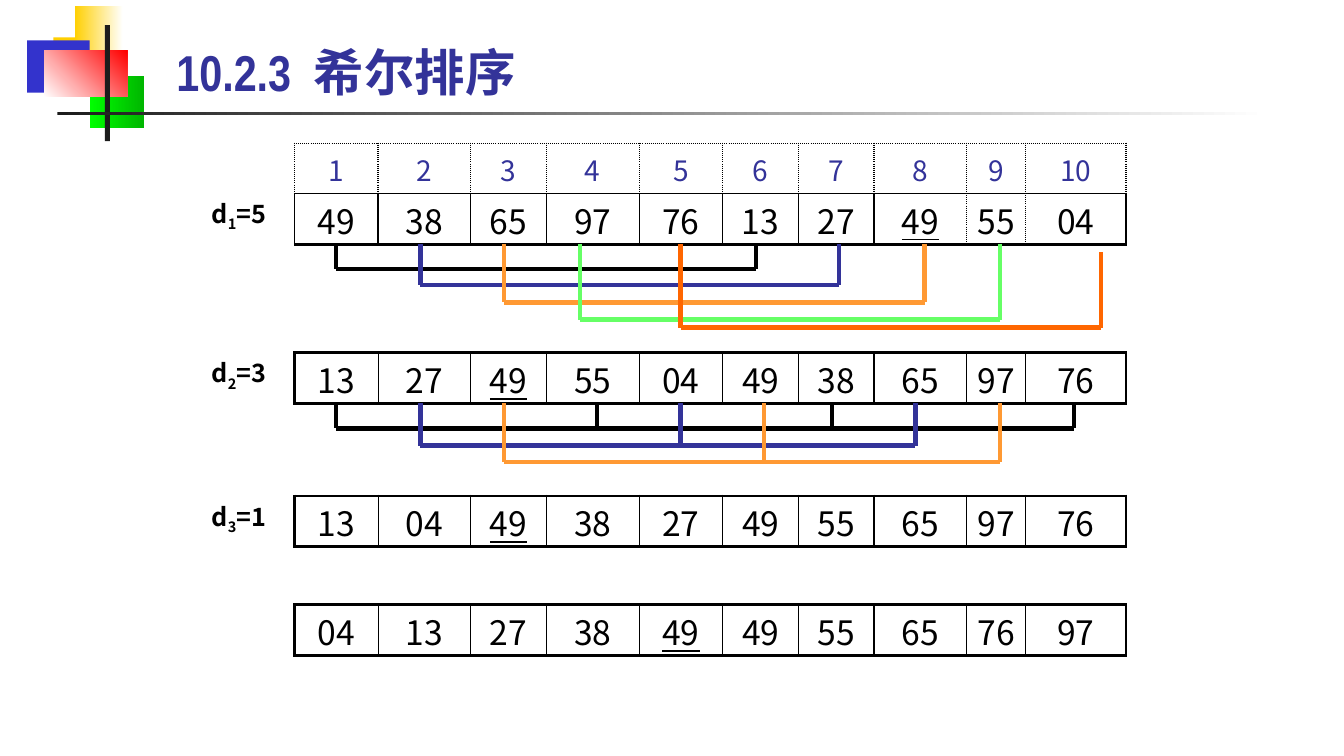
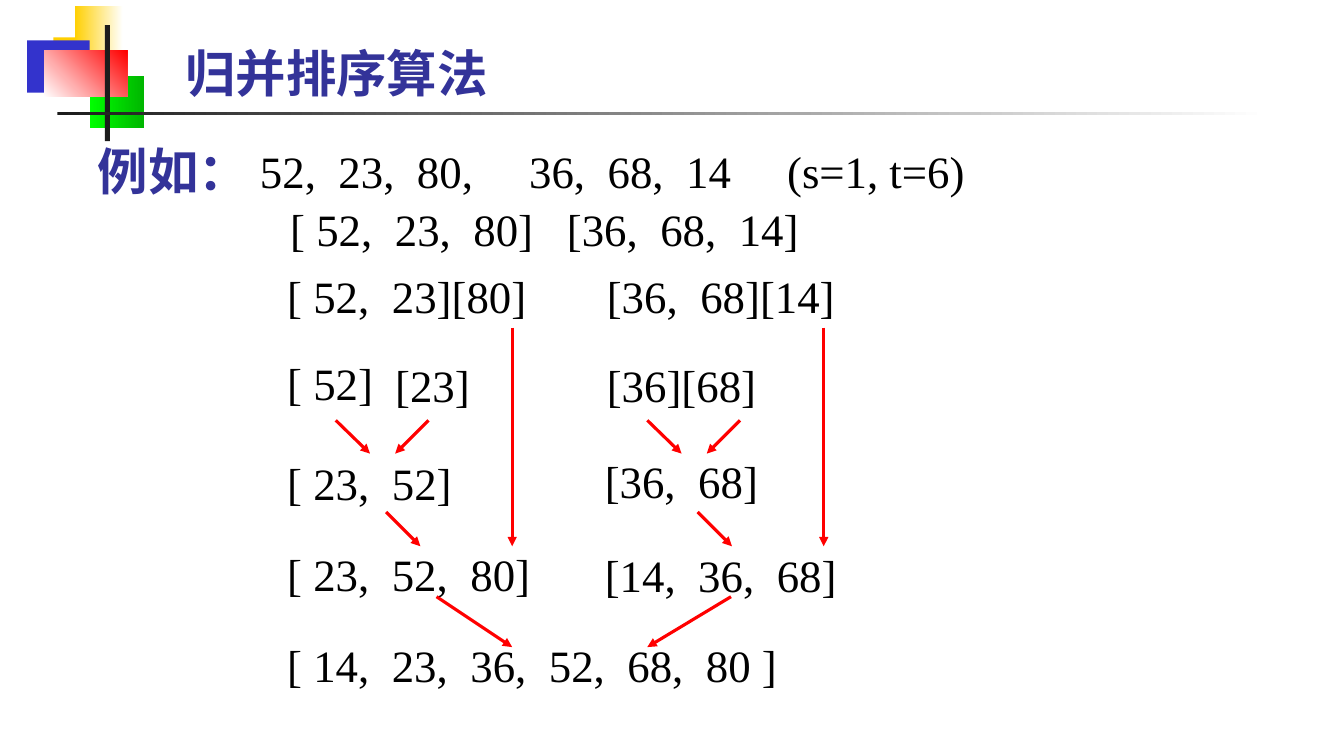
"""Build two slides on Shell sort and merge sort."""
from dataclasses import dataclass

from lxml.etree import SubElement
from pptx import Presentation
from pptx.dml.color import RGBColor
from pptx.enum.shapes import MSO_CONNECTOR as Connector, MSO_SHAPE as Preset
from pptx.enum.text import MSO_ANCHOR as Anchor, MSO_AUTO_SIZE as AutoSize, PP_ALIGN as Align
from pptx.oxml.ns import qn
from pptx.util import Inches, Pt


@dataclass(frozen=True)
class Theme:
    ink: str = "000000"
    navy: str = "333399"
    orange: str = "FF9933"
    green: str = "66FF66"
    flame: str = "FF6600"
    red: str = "FF0000"
    dark: str = "1C1C1C"
    white: str = "FFFFFF"
    yellow: str = "FFCF01"
    blue: str = "3333CC"
    lime: str = "00FF00"
    forest: str = "00B600"
    cjk: str = "Noto Sans CJK SC"
    title_font: str = "Arial Narrow"
    serif: str = "Times New Roman"
    title_size: int = 36
    serif_size: int = 32
    value_size: int = 24
    index_size: int = 20
    label_size: int = 18


THEME = Theme()
TITLE = {"name": THEME.title_font, "size": Pt(THEME.title_size), "bold": True, "color": THEME.navy}
HEADING = {**TITLE, "name": THEME.cjk}
SERIF = {"name": THEME.serif, "size": Pt(THEME.serif_size), "color": THEME.ink}
VALUE = {"name": THEME.cjk, "size": Pt(THEME.value_size), "color": THEME.ink}
INDEX = {**VALUE, "size": Pt(THEME.index_size), "color": THEME.navy}
LABEL = {**VALUE, "size": Pt(THEME.label_size), "bold": True}

DECORATION = [
    ((0.53, 0.37, 0.64, 0.52), (THEME.yellow,), 0),
    ((0.74, 0.06, 0.48, 0.52), (THEME.yellow, THEME.white), 0),
    ((0.27, 0.4, 0.62, 0.52), (THEME.blue,), 0),
    ((0.89, 0.75, 0.54, 0.52), (THEME.lime, THEME.forest), 0),
    ((0.44, 0.5, 0.82, 0.46), (THEME.white, THEME.red), 45),
    ((1.04, 0.25, 0.05, 1.15), (THEME.dark,), 0),
    ((0.57, 1.11, 12, 0.03), (THEME.dark, THEME.white), 0),
]

SPACER = 0.42
COLUMNS = [0.83, 0.92, 0.75, 0.92, 0.83, 0.75, 0.75, 0.92, 0.58, 1]
TABLE_LEFT, ROW_HEIGHT = 2.92, 0.5
THIN, THICK, DOTTED = (1, "solid"), (2.25, "solid"), (1, "sysDot")
START = ("49 38 65 97 76 13 27 49 55 04", 7)
PASSES = [
    (3.5, "13 27 49 55 04 49 38 65 97 76", 2),
    (4.92, "13 04 49 38 27 49 55 65 97 76", 2),
    (6, "04 13 27 38 49 49 55 65 76 97", 4),
]
STEPS = [(1.92, "1", "=5"), (3.5, "2", "=3"), (4.92, "3", "=1")]
BRACKETS = [
    (2.42, [
        (0.25, THEME.ink, [3.33, 7.5], 0),
        (0.41, THEME.navy, [4.17, 8.32], 0),
        (0.58, THEME.orange, [5, 9.17], 0),
        (0.75, THEME.green, [5.75, 9.92], 0),
        (0.83, THEME.flame, [6.75, 10.92], 0.08),
    ]),
    (4, [
        (0.25, THEME.ink, [3.33, 5.92, 8.25, 10.65], 0),
        (0.42, THEME.navy, [4.17, 6.75, 9.08], 0),
        (0.58, THEME.orange, [5, 7.58, 9.92], 0),
    ]),
]

MERGE_LINES = [
    ((2.48, 1.38, 7.25), ["52,|23,|80,", "36,|68,|14", "(s=1, t=6)"], 32),
    ((2.78, 1.95, 5.29), ["[ 52,|23,|80]", "[36,|68,|14]"], 16),
    ((2.75, 2.62, 2.59), ["[ 52,|23][80]"], 0),
    ((2.75, 3.48, 1.25), ["[ 52]"], 0),
    ((3.82, 3.5, 0.95), ["[23]"], 0),
    ((2.75, 4.47, 1.85), ["[ 23,|52]"], 0),
    ((2.75, 5.37, 2.63), ["[ 23,|52,|80]"], 0),
    ((5.92, 2.62, 2.48), ["[36,|68][14]"], 0),
    ((5.92, 3.5, 1.7), ["[36][68]"], 0),
    ((5.9, 4.45, 1.73), ["[36,|68]"], 0),
    ((5.9, 5.38, 2.52), ["[14,|36,|68]"], 0),
    ((2.75, 6.28, 5.1), ["[ 14,|23,|36,|52,|68,|80 ]"], 0),
]
HALF_ARROWS = [
    (3.33, 4.17, 3.67, 4.5),
    (4.25, 4.17, 3.92, 4.5),
    (3.83, 5.08, 4.17, 5.42),
    (5.08, 3.25, 5.08, 5.42),
]
HALF_SHIFT = 3.09
JOIN_ARROWS = [(4.33, 5.92, 5.08, 6.42), (7.25, 5.92, 6.42, 6.42)]


def add_run(paragraph, text, style, gap=0, baseline=0):
    run = paragraph.add_run()
    run.text = text
    for name, value in style.items():
        if name == "color":
            run.font.color.rgb = RGBColor.from_string(value)
        else:
            setattr(run.font, name, value)
    properties = run.font._element
    SubElement(properties, qn("a:ea"), typeface=THEME.cjk)
    if gap:
        properties.set("spc", str(gap * 100))
    if baseline:
        properties.set("baseline", str(baseline * 1000))


def add_words(paragraph, groups, style, group_gap=0, word_gap=8):
    """Join words and groups with single spaces of set extra width."""
    for group_index, group in enumerate(groups):
        if group_index:
            add_run(paragraph, " ", style, group_gap)
        for word_index, word in enumerate(group.split("|")):
            if word_index:
                add_run(paragraph, " ", style, word_gap)
            add_run(paragraph, word, style)


def add_text_box(slide, place, wrap=False):
    shape = slide.shapes.add_textbox(*map(Inches, place))
    frame = shape.text_frame
    frame.word_wrap = wrap
    frame.auto_size = AutoSize.SHAPE_TO_FIT_TEXT
    return frame.paragraphs[0]


def add_line(shapes, points, color, width, arrow=False):
    line = shapes.add_connector(Connector.STRAIGHT, *map(Inches, points))
    line.line.color.rgb = RGBColor.from_string(color)
    line.line.width = Pt(width)
    if arrow:
        SubElement(line.line._get_or_add_ln(), qn("a:tailEnd"), type="triangle")
    SubElement(line.element.spPr, qn("a:effectLst"))


def decorate(layout, slide):
    """Move the shared band onto the layout."""
    for place, colors, angle in DECORATION:
        shape = slide.shapes.add_shape(Preset.RECTANGLE, *map(Inches, place))
        shape.shadow.inherit = False
        shape.line.fill.background()
        if len(colors) == 1:
            shape.fill.solid()
            shape.fill.fore_color.rgb = RGBColor.from_string(colors[0])
        else:
            shape.fill.gradient()
            shape.fill.gradient_angle = angle
            for stop, color in zip(shape.fill.gradient_stops, colors):
                stop.color.rgb = RGBColor.from_string(color)
        layout.shapes.element.append(shape.element)


def set_border(cell, side, border):
    width, dash = border or (0, None)
    line = SubElement(cell._tc.get_or_add_tcPr(), qn("a:ln" + side), w=str(Pt(width)))
    if border is None:
        SubElement(line, qn("a:noFill"))
        return
    fill = SubElement(line, qn("a:solidFill"))
    SubElement(fill, qn("a:srgbClr"), val=THEME.ink)
    SubElement(line, qn("a:prstDash"), val=dash)


def add_sequence_table(slide, top, rows, spacer=False):
    widths = [SPACER] * spacer + COLUMNS
    left = TABLE_LEFT - SPACER * spacer
    frame = slide.shapes.add_table(len(rows), len(widths), Inches(left), Inches(top),
                                   Inches(sum(widths)), Inches(ROW_HEIGHT * len(rows)))
    table = frame.table
    table.first_row = table.horz_banding = False
    for column, width in zip(table.columns, widths):
        column.width = Inches(width)
    for row_index, (values, underlined, style, anchor, verticals, above, below) in enumerate(rows):
        table.rows[row_index].height = Inches(ROW_HEIGHT)
        texts = [""] * spacer + values
        edges = [None] * spacer + verticals
        for index, text in enumerate(texts):
            cell = table.cell(row_index, index)
            borders = {"L": edges[index], "R": edges[index + 1],
                       "T": above if text else None, "B": below if text else None}
            for side, border in borders.items():
                set_border(cell, side, border)
            cell.fill.background()
            cell.vertical_anchor = anchor
            cell.margin_top, cell.margin_bottom = Inches(0.02), 0
            cell.margin_left = cell.margin_right = Inches(0.05)
            if text:
                paragraph = cell.text_frame.paragraphs[0]
                paragraph.alignment = Align.CENTER
                extra = {"underline": True} if index - spacer == underlined else {}
                add_run(paragraph, text, {**style, **extra})
    if spacer:
        table.cell(0, 0).merge(table.cell(len(rows) - 1, 0))


def build_shell_sort(slide):
    count = len(COLUMNS)
    header = [str(number + 1) for number in range(count)]
    values, underlined = START
    start_edges = [THIN] * 8 + [DOTTED] * 2 + [THICK]
    add_sequence_table(slide, 1.42, [
        (header, None, INDEX, Anchor.MIDDLE, [DOTTED] * (count + 1), DOTTED, THIN),
        (values.split(), underlined, VALUE, Anchor.MIDDLE, start_edges, THIN, THICK),
    ], spacer=True)
    pass_edges = [THICK] + [THIN] * (count - 1) + [THICK]
    for top, values, underlined in PASSES:
        add_sequence_table(slide, top, [
            (values.split(), underlined, VALUE, Anchor.TOP, pass_edges, THICK, THICK)])
    for top, subscript, distance in STEPS:
        paragraph = add_text_box(slide, (2, top, 1.42, 0.4), wrap=True)
        add_run(paragraph, "d", LABEL)
        add_run(paragraph, subscript, LABEL, baseline=-25)
        add_run(paragraph, distance, LABEL)
    for top, brackets in BRACKETS:
        group = slide.shapes.add_group_shape()
        for drop, color, legs, end_gap in brackets:
            rail = top + drop
            add_line(group.shapes, (legs[0], rail, legs[-1], rail), color, 3)
            for leg in legs:
                leg_top = top + end_gap * (leg == legs[-1])
                add_line(group.shapes, (leg, leg_top, leg, rail), color, 3)
    add_words(add_text_box(slide, (1.65, 0.36, 8.12, 0.83), wrap=True), ["10.2.3|希尔排序"], TITLE)


def build_merge_sort(slide):
    add_run(add_text_box(slide, (0.87, 1.34, 1.72, 0.71)), "例如：", HEADING)
    for place, groups, group_gap in MERGE_LINES:
        add_words(add_text_box(slide, (*place, 0.64)), groups, SERIF, group_gap)
    shifted = [(x1 + HALF_SHIFT, y1, x2 + HALF_SHIFT, y2) for x1, y1, x2, y2 in HALF_ARROWS]
    for points in HALF_ARROWS + shifted + JOIN_ARROWS:
        add_line(slide.shapes, points, THEME.red, 2.25, arrow=True)
    add_run(add_text_box(slide, (1.74, 0.37, 4.9, 0.71), wrap=True), "归并排序算法", TITLE)


def main():
    presentation = Presentation()
    presentation.slide_width, presentation.slide_height = Inches(13.33), Inches(7.5)
    layout = presentation.slide_layouts[6]
    slides = [presentation.slides.add_slide(layout) for _ in range(2)]
    decorate(layout, slides[0])
    for build, slide in zip((build_shell_sort, build_merge_sort), slides):
        build(slide)
    presentation.save("out.pptx")


if __name__ == "__main__":
    main()
